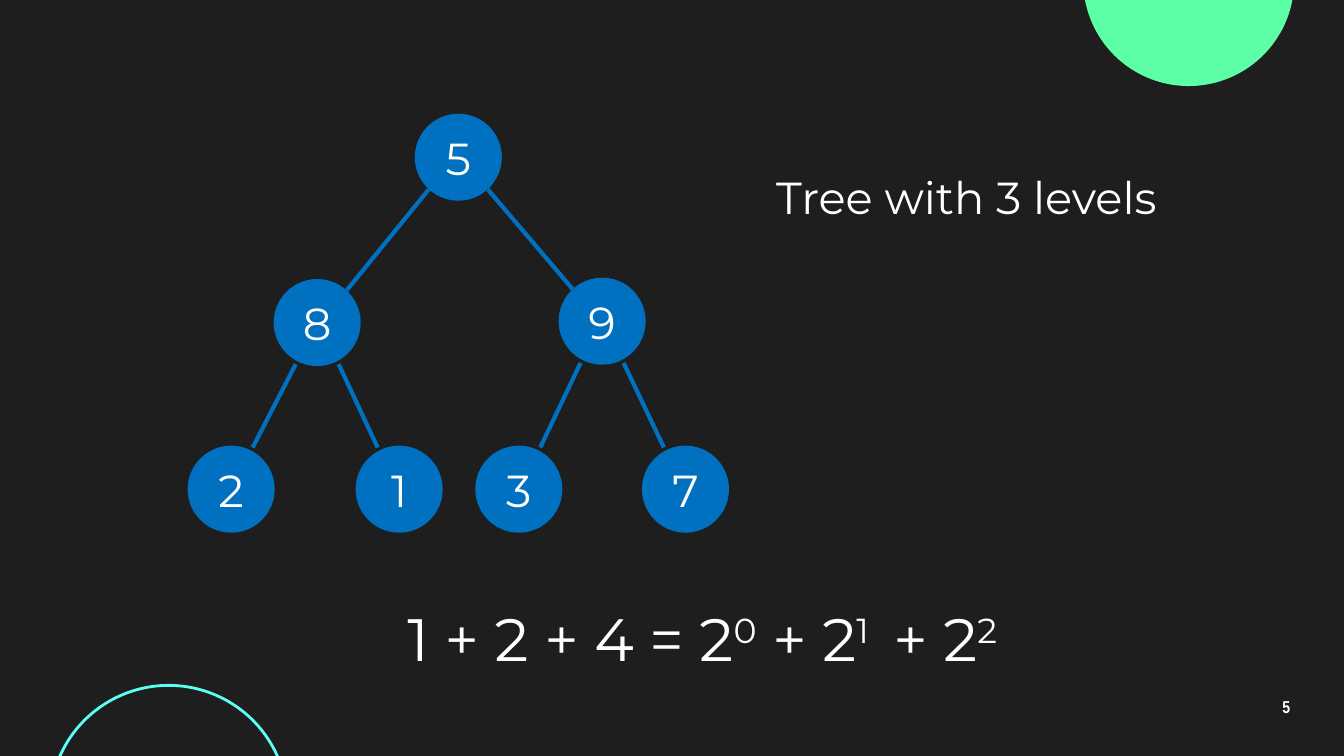
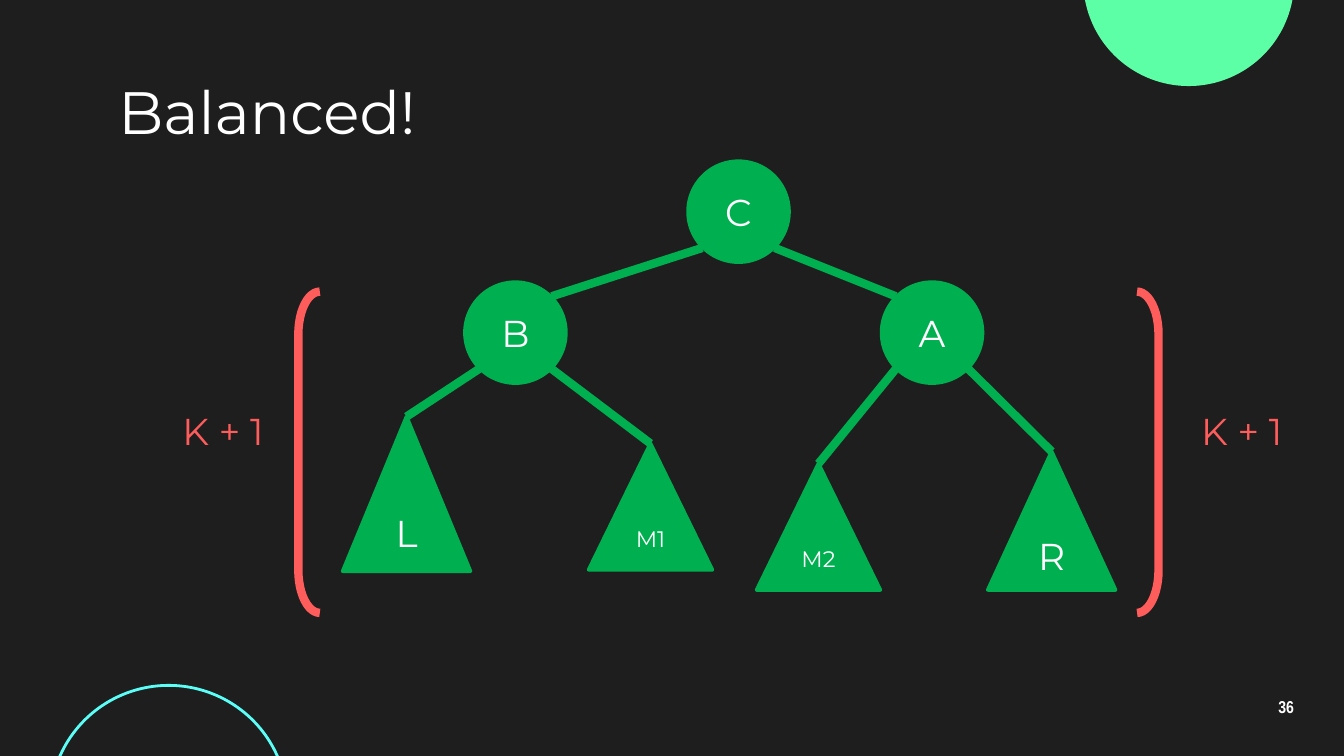
import lxml.etree
import pptx
import pptx.dml.color
import pptx.enum.shapes
import pptx.enum.text
import pptx.oxml.ns
import pptx.util

RGBColor = pptx.dml.color.RGBColor
Shape = pptx.enum.shapes.MSO_SHAPE
Align = pptx.enum.text.PP_ALIGN
Anchor = pptx.enum.text.MSO_ANCHOR

BACKGROUND = RGBColor(0x1E, 0x1E, 0x1E)
WHITE = RGBColor(0xFF, 0xFF, 0xFF)
MINT = RGBColor(0x5C, 0xFF, 0xA6)
CYAN = RGBColor(0x5C, 0xFF, 0xF8)
BLUE = RGBColor(0x00, 0x70, 0xC0)
GREEN = RGBColor(0x00, 0xB0, 0x50)
CORAL = RGBColor(0xFF, 0x5C, 0x5C)

BODY_FONT = "Montserrat"
NUMBER_FONT = "Arial Narrow"
PIXEL = 9144
TITLE_ONLY, BLANK = 5, 6


def px(length):
    return pptx.util.Emu(length * PIXEL)


def box(left, top, width, height):
    return px(left), px(top), px(width), px(height)


def format_run(run, size, color=WHITE, font=BODY_FONT, bold=False):
    run.font.size = pptx.util.Pt(size)
    run.font.name = font
    run.font.color.rgb = color
    run.font.bold = bold


def format_text(text_frame, size, align, color=WHITE, font=BODY_FONT, bold=False):
    paragraph = text_frame.paragraphs[0]
    paragraph.alignment = align
    for run in paragraph.runs:
        format_run(run, size, color, font, bold)


def set_margins(text_frame):
    text_frame.word_wrap = True
    text_frame.margin_left = text_frame.margin_right = px(10)
    text_frame.margin_top = text_frame.margin_bottom = px(10)


def add_outline(shapes, kind, place, fill=None, line=None, width=2):
    shape = shapes.add_shape(kind, *box(*place))
    shape.shadow.inherit = False
    if fill is None:
        shape.fill.background()
    else:
        shape.fill.solid()
        shape.fill.fore_color.rgb = fill
    if line is None:
        shape.line.fill.background()
    else:
        shape.line.color.rgb = line
        shape.line.width = pptx.util.Pt(width)
    return shape


def add_node(shapes, kind, place, text, size, color):
    shape = add_outline(shapes, kind, place, color, color)
    shape.text_frame.text = text
    shape.text_frame.vertical_anchor = Anchor.MIDDLE
    format_text(shape.text_frame, size, Align.CENTER)
    return shape


def add_label(slide, place, text, size, align=Align.CENTER, color=WHITE):
    text_frame = slide.shapes.add_textbox(*box(*place)).text_frame
    set_margins(text_frame)
    text_frame.text = text
    format_text(text_frame, size, align, color)
    return text_frame


def add_superscript_sum(slide, place, parts, size):
    text_frame = add_label(slide, place, "", size)
    for text, raised in parts:
        run = text_frame.paragraphs[0].add_run()
        run.text = text
        format_run(run, size)
        if raised:
            run._r.get_or_add_rPr().set("baseline", "30000")


def center(shape):
    return shape.left + shape.width // 2, shape.top + shape.height // 2


def add_link(shapes, parent, child, reach, color, width, to_apex=False):
    parent_x, parent_y = center(parent)
    child_x, child_y = center(child)
    reach_x, reach_y = px(reach[0]), px(reach[1])
    side = 1 if child_x > parent_x else -1
    connector = shapes.add_connector(
        pptx.enum.shapes.MSO_CONNECTOR.STRAIGHT,
        parent_x + side * reach_x, parent_y + reach_y,
        child_x - side * reach_x, child_y - reach_y)
    if to_apex:
        connector.end_connect(child, 0)
    connector.line.color.rgb = color
    connector.line.width = pptx.util.Pt(width)
    lxml.etree.SubElement(connector._element.spPr, pptx.oxml.ns.qn("a:effectLst"))


def add_slide(presentation, layout, number):
    slide = presentation.slides.add_slide(presentation.slide_layouts[layout])
    add_outline(slide.shapes, Shape.OVAL, (806, -93, 157, 157), fill=MINT)
    add_outline(slide.shapes, Shape.OVAL, (37, 510, 177, 177), line=CYAN, width=1.5)
    text_frame = add_label(slide, (927, 510, 60, 34), str(number), 9.2)
    text_frame.vertical_anchor = Anchor.MIDDLE
    text_frame.paragraphs[0].line_spacing = 0.9
    format_text(text_frame, 9.2, Align.CENTER, font=NUMBER_FONT, bold=True)
    return slide


def set_title(slide, text):
    title = slide.shapes.title
    title.left, title.top, title.width, title.height = box(78, 57, 388, 51)
    text_frame = title.text_frame
    text_frame.text = text
    text_frame.auto_size = pptx.enum.text.MSO_AUTO_SIZE.NONE
    text_frame.vertical_anchor = Anchor.MIDDLE
    set_margins(text_frame)
    format_text(text_frame, 32, Align.LEFT)


def add_bracket_side(slide, bracket_left, label_left, rotation):
    bracket = add_outline(slide.shapes, Shape.LEFT_BRACKET,
                          (bracket_left, 217, 16, 239), line=CORAL, width=4.5)
    bracket.adjustments[0] = 1.99
    bracket.rotation = rotation
    add_label(slide, (label_left, 294, 84, 51), "K + 1", 20, Align.RIGHT, CORAL)


def build_levels_slide(presentation):
    slide = add_slide(presentation, BLANK, 5)
    tree = slide.shapes.add_group_shape().shapes
    places = {"5": (310, 86), "8": (205, 209), "9": (417, 208),
              "2": (141, 333), "1": (266, 333), "3": (355, 333), "7": (479, 333)}
    nodes = {text: add_node(tree, Shape.OVAL, (*place, 62, 62), text, 24, BLUE)
             for text, place in places.items()}
    children = {"5": "89", "8": "21", "9": "37"}
    for parent, pair in children.items():
        reach = (22, 24) if parent == "5" else (16, 31)
        for child in pair:
            add_link(tree, nodes[parent], nodes[child], reach, BLUE, 2.25)
    add_label(slide, (542, 116, 354, 51), "Tree with 3 levels", 24)
    add_superscript_sum(slide, (250, 438, 545, 51), [
        ("1 + 2 + 4 = 2", False), ("0", True), (" + 2", False),
        ("1 ", True), (" + 2", False), ("2", True)], 32)


def build_balanced_slide(presentation):
    slide = add_slide(presentation, TITLE_ONLY, 36)
    set_title(slide, "Balanced!")
    circles = {"C": (512, 120), "B": (346, 210), "A": (656, 210)}
    nodes = {text: add_node(slide.shapes, Shape.OVAL, (*place, 75, 75), text, 20, GREEN)
             for text, place in circles.items()}
    subtrees = [("L", "B", (255, 310, 95, 115), 20),
                ("M1", "B", (438, 330, 92, 94), 12),
                ("M2", "A", (563, 345, 92, 94), 12),
                ("R", "A", (735, 336, 95, 103), 20)]
    diagonal = (27, 27)
    for child in "BA":
        add_link(slide.shapes, nodes["C"], nodes[child], diagonal, GREEN, 4.5)
    for text, parent, place, size in subtrees:
        triangle = add_node(slide.shapes, Shape.ISOSCELES_TRIANGLE, place, text, size, GREEN)
        add_link(slide.shapes, nodes[parent], triangle, diagonal, GREEN, 4.5, to_apex=True)
    add_bracket_side(slide, 222, 122, 0)
    add_bracket_side(slide, 846, 880, 180)


def main():
    presentation = pptx.Presentation()
    presentation.slide_width = px(1000)
    presentation.slide_height = px(1000) * 9 // 16
    background = presentation.slide_master.background.fill
    background.solid()
    background.fore_color.rgb = BACKGROUND
    build_levels_slide(presentation)
    build_balanced_slide(presentation)
    presentation.save("out.pptx")


if __name__ == "__main__":
    main()
